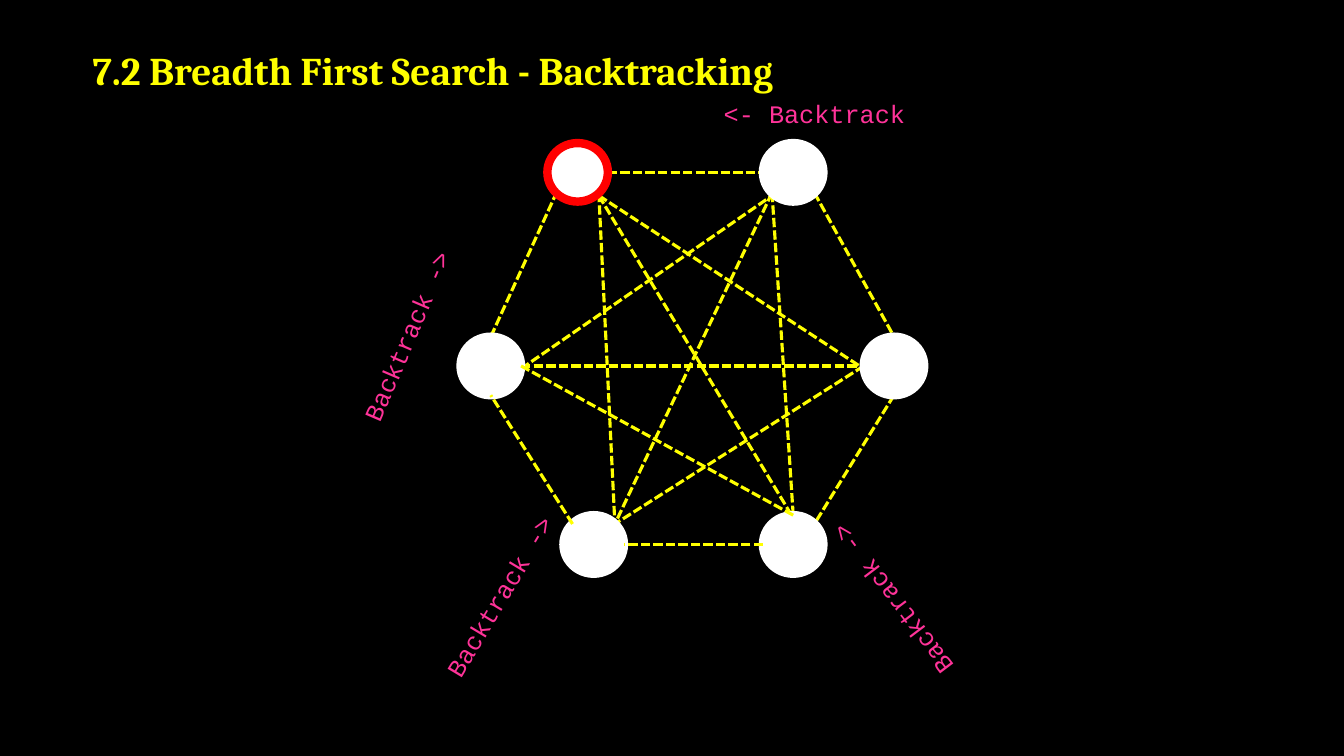
from dataclasses import dataclass
from pptx import Presentation
from pptx.dml.color import RGBColor as Rgb
from pptx.enum.dml import MSO_LINE as Dash
from pptx.enum.shapes import MSO_CONNECTOR as Conn, MSO_SHAPE as Kind
from pptx.enum.text import MSO_AUTO_SIZE as Fit
from pptx.oxml.ns import qn
from pptx.util import Pt


@dataclass(frozen=True)
class Theme:
    """Colours, fonts and sizes of the slide."""
    back: str = "000000"
    node: str = "FFFFFF"
    start: str = "FF0000"
    edge: str = "FFFF00"
    note: str = "FF3399"
    serif: str = "Cambria"
    mono: str = "Courier New"
    head: float = 28
    label: float = 18
    ring: float = 6
    dash: float = 2.25


WIDE, HIGH = 43.2, 41.8
NODES = {"A": (391, 102.2), "F": (329, 240.5), "E": (402.5, 368),
         "B": (545, 102.2), "C": (617, 240.5), "D": (545, 368)}
SITES = {"t": (0.5, 0), "b": (0.5, 1), "l": (0, 0.5), "r": (1, 0.5),
         "tl": (0.15, 0.15), "tr": (0.85, 0.15),
         "bl": (0.15, 0.85), "br": (0.85, 0.85)}
UNDER = [("F", "t", "A", "bl", 0), ("C", "l", "E", "tr", 0),
         ("C", "b", "D", "tr", 0), ("A", "br", "C", "l", 2),
         ("F", "r", "C", "l", 0), ("B", "bl", "E", "tr", 0),
         ("F", "r", "B", "bl", 2), ("B", "bl", "D", "t", 0),
         ("A", "br", "D", "t", 2), ("A", "br", "E", "tr", 0),
         ("B", "br", "C", "t", 0), ("A", "r", "B", "l", 0)]
OVER = [("E", "tl", "F", "b", 0), ("D", "l", "E", "r", 0),
        ("F", "r", "D", "t", 0)]
LABELS = [("<- Backtrack", 509.8, 67, 0), ("Backtrack ->", 218.2, 225.4, 293.1),
          ("Backtrack ->", 284.4, 411.1, 301), ("Backtrack ->", 564.5, 413.3, 232.9)]


def point(name, site, drop):
    """Return the place of a site on a node's rim."""
    (x, y), (u, v) = NODES[name], SITES[site]
    return Pt(x + u * WIDE), Pt(y + v * HIGH + drop)


def apply(item, form):
    """Set each format value on an item."""
    for key, value in form.items():
        setattr(item, key, value)


class Sketch:
    """Draw the parts of the graph on one slide."""

    def __init__(self, slide, theme):
        """Keep the slide and theme and paint the background."""
        self.slide, self.theme = slide, theme
        self.paint(slide.background.fill, theme.back)

    def paint(self, fill, tone):
        """Give a fill one solid colour."""
        fill.solid()
        fill.fore_color.rgb = Rgb.from_string(tone)

    def node(self, name, tone):
        """Draw a round node with a coloured ring."""
        x, y = NODES[name]
        dot = self.slide.shapes.add_shape(Kind.OVAL, Pt(x), Pt(y), Pt(WIDE), Pt(HIGH))
        dot.shadow.inherit = False
        self.paint(dot.fill, self.theme.node)
        self.paint(dot.line.fill, tone)
        dot.line.width = Pt(self.theme.ring)

    def edge(self, one, exit, two, entry, drop):
        """Draw a dashed line between two node sites."""
        ends = *point(one, exit, drop), *point(two, entry, drop)
        link = self.slide.shapes.add_connector(Conn.STRAIGHT, *ends)
        self.paint(link.line.fill, self.theme.edge)
        apply(link.line, {"width": Pt(self.theme.dash), "dash_style": Dash.SQUARE_DOT})
        props = link._element.spPr
        props.append(props.makeelement(qn("a:effectLst"), {}))

    def text(self, words, box, form, tone, wrap=False, turn=0):
        """Write one paragraph and return it."""
        area = self.slide.shapes.add_textbox(*map(Pt, box))
        area.rotation = turn
        apply(area.text_frame, {"word_wrap": wrap, "auto_size": Fit.SHAPE_TO_FIT_TEXT})
        para = area.text_frame.paragraphs[0]
        run = para.add_run()
        run.text = words
        apply(run.font, form)
        run.font.color.rgb = Rgb.from_string(tone)
        return para

    def title(self, words):
        """Write the indented slide title."""
        look = self.theme
        form = {"name": look.serif, "size": Pt(look.head), "bold": True}
        para = self.text(words, (23, 27.4, 822.2, 41.8), form, look.edge, True)
        apply(para, {"line_spacing": 1.07, "space_after": Pt(8)})
        para._p.get_or_add_pPr().set("marL", str(Pt(36)))

    def label(self, words, x, y, turn):
        """Write a turned backtrack label."""
        look = self.theme
        form = {"name": look.mono, "size": Pt(look.label)}
        self.text(words, (x, y, 144.7, 29), form, look.note, turn=turn)


def main():
    """Build and save the slide."""
    deck = Presentation()
    apply(deck, {"slide_width": Pt(960), "slide_height": Pt(540)})
    look = Theme()
    art = Sketch(deck.slides.add_slide(deck.slide_layouts[6]), look)
    art.title("7.2 Breadth First Search - Backtracking")
    for link in UNDER:
        art.edge(*link)
    for name in NODES:
        art.node(name, look.start if name == "A" else look.node)
    for link in OVER:
        art.edge(*link)
    for label in LABELS:
        art.label(*label)
    deck.save("out.pptx")


if __name__ == "__main__":
    main()
